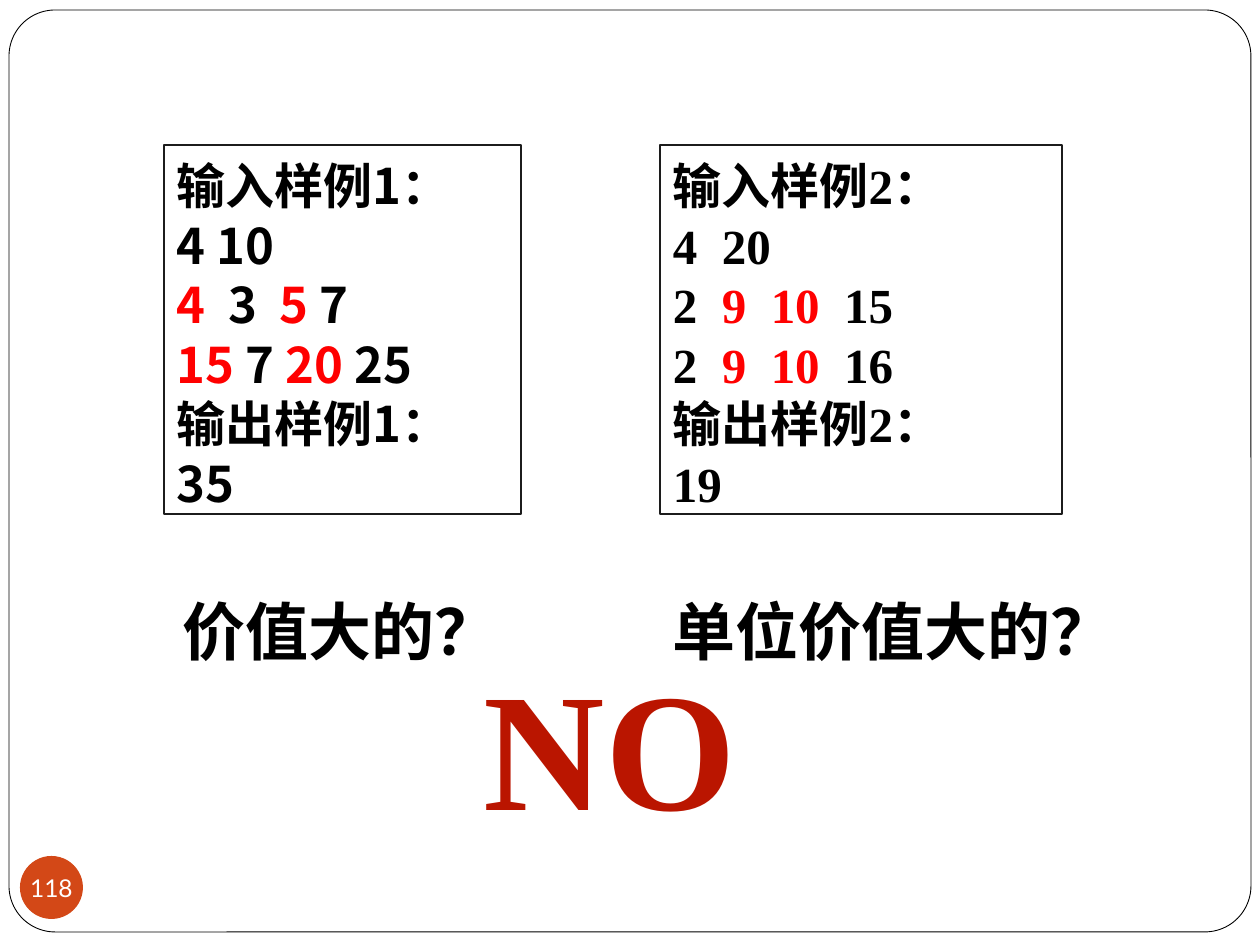
from lxml.etree import SubElement
from pptx import Presentation
from pptx.dml.color import RGBColor
from pptx.enum.shapes import MSO_SHAPE
from pptx.enum.text import MSO_ANCHOR, PP_ALIGN
from pptx.oxml.ns import qn
from pptx.util import Emu, Pt

SCALE = 914400 / 126
TIMES, NOTO = "Times New Roman", "Noto Sans CJK SC"
BLACK, RED = "000000", "FF0000"


def px(n):
    return Emu(round(n * SCALE))


def paint(part, tone):
    """Give a fill or a font a solid colour."""
    fill = getattr(part, "fill", part)
    fill.solid()
    fill.fore_color.rgb = RGBColor.from_string(tone)


def add_form(slide, kind, box, fill=None, line=None, width=0.75):
    form = slide.shapes.add_shape(kind, *map(px, box))
    form.shadow.inherit = False
    if fill:
        paint(form.fill, fill)
    else:
        form.fill.background()
    if line:
        paint(form.line, line)
        form.line.width = Pt(width)
    else:
        form.line.fill.background()
    return form


def add_run(para, text, face, size, tone, bold=True):
    run = para.add_run()
    run.text = text
    font = run.font
    font.name, font.size, font.bold = face, Pt(size), bold
    paint(font, tone)
    SubElement(run._r.get_or_add_rPr(), qn("a:ea")).set("typeface", NOTO)
    return run


def set_text(shape, rows, face, size, tones):
    """Write rows as one paragraph; the runs of a row take the tones in turn."""
    frame = shape.text_frame
    frame.word_wrap = True
    frame.vertical_anchor = MSO_ANCHOR.TOP
    frame.margin_left, frame.margin_right = px(13), 0
    frame.margin_top, frame.margin_bottom = px(8 + size // 10), 0
    para = frame.paragraphs[0]
    para.alignment = PP_ALIGN.LEFT
    para.line_spacing = Pt(round(size * 1.2))
    for i, row in enumerate(rows):
        if i:
            para.add_line_break()
        for j, text in enumerate(row):
            if text:
                add_run(para, text, face, size, tones[j % len(tones)])


def add_sample(slide, box, rows, face):
    form = add_form(slide, MSO_SHAPE.RECTANGLE, box, line="1C1C1C")
    set_text(form, rows, face, 28, (BLACK, RED))


def add_label(slide, box, text, size, tone):
    label = slide.shapes.add_textbox(*map(px, box))
    set_text(label, [[text]], TIMES, size, [tone])
    return label


def add_frame(slide, box):
    form = add_form(slide, MSO_SHAPE.ROUNDED_RECTANGLE, box, "FFFFFF", BLACK, 0.5)
    form.adjustments[0] = 0.05


def add_badge(slide, box, text):
    frame = add_form(slide, MSO_SHAPE.OVAL, box, "D34817").text_frame
    frame.margin_left = frame.margin_right = 0
    frame.margin_top = frame.margin_bottom = 0
    frame.word_wrap = False
    frame.vertical_anchor = MSO_ANCHOR.MIDDLE
    para = frame.paragraphs[0]
    para.alignment = PP_ALIGN.CENTER
    add_run(para, text, "Lato", 14, "FFFFFF", False)


def main():
    deck = Presentation()
    deck.slide_width, deck.slide_height = px(1260), px(945)
    slide = deck.slides.add_slide(deck.slide_layouts[6])
    add_frame(slide, (9, 10, 1242, 922))
    add_badge(slide, (20, 856, 63, 63), "118")

    # Within each row the runs alternate between black and red.
    first = [
        ["输入样例1："],
        ["4 10"],
        ["", "4  ", "3  ", "5 ", "7"],
        ["", "15", " 7 ", "20", " 25"],
        ["输出样例1："],
        ["35"],
    ]
    second = [
        ["输入样例2："],
        ["4  20"],
        ["2  ", "9  10", "  15"],
        ["2  ", "9  10", "  16"],
        ["输出样例2："],
        ["19"],
    ]
    add_sample(slide, (164, 145, 357, 369), first, NOTO)
    add_sample(slide, (660, 145, 402, 369), second, TIMES)
    add_label(slide, (169, 582, 407, 89), "价值大的？", 36, BLACK)
    add_label(slide, (660, 582, 456, 89), "单位价值大的？", 36, BLACK)
    add_label(slide, (471, 626, 290, 217), "NO", 96, "BA1500")
    deck.save("out.pptx")


if __name__ == "__main__":
    main()
